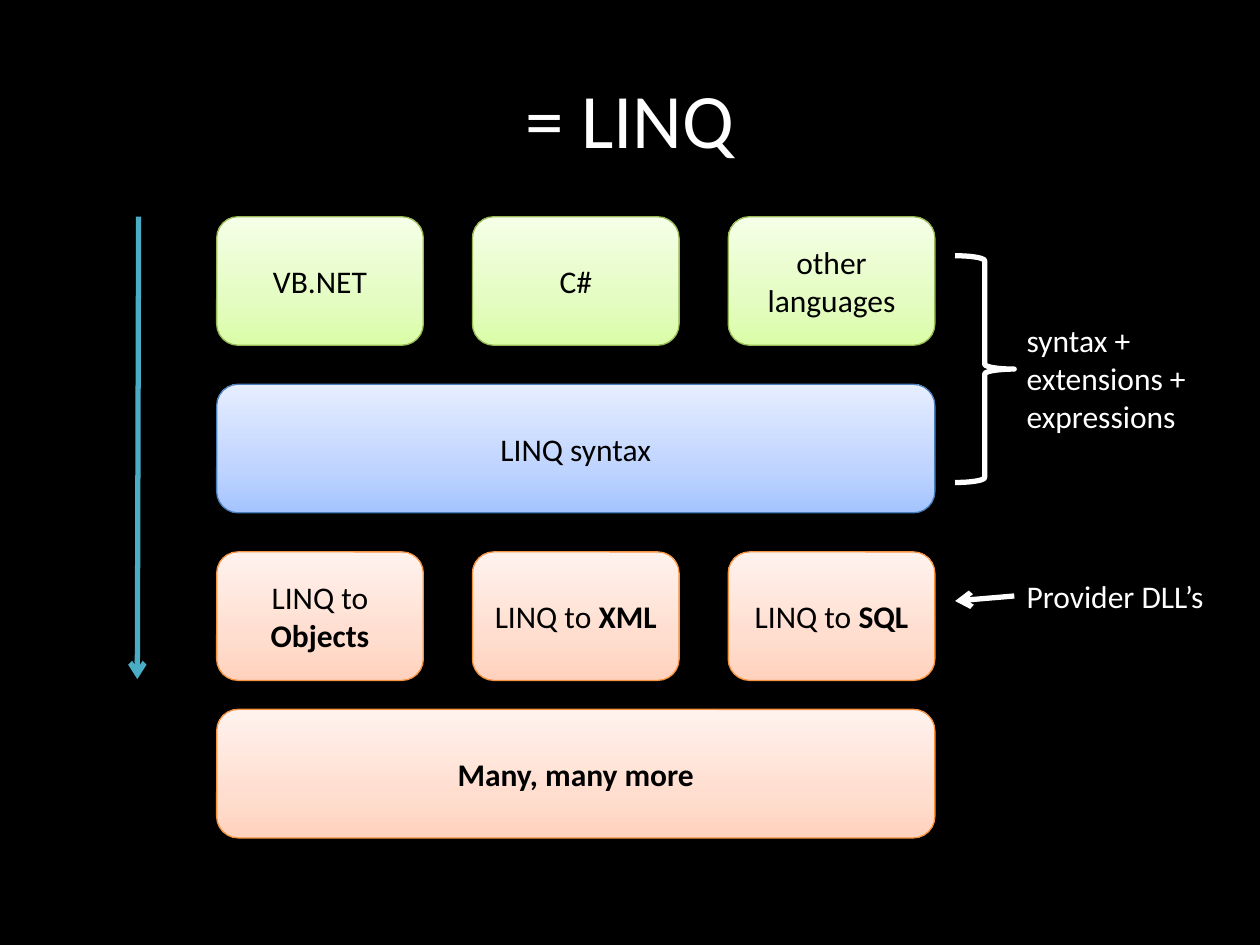
from copy import deepcopy

from lxml import etree
from pptx import Presentation
from pptx.dml.color import RGBColor
from pptx.enum import shapes, text
from pptx.oxml.ns import qn
from pptx.util import Inches, Pt

# Content: each row has a top, a style and boxes of (plain text, bold text)
ROWS = [
    (1.72, "green", [("VB.NET", ""), ("C#", ""), ("other languages", "")]),
    (3.05, "blue", [("LINQ syntax", "")]),
    (4.38, "orange", [("LINQ to ", "Objects"), ("LINQ to ", "XML"), ("LINQ to ", "SQL")]),
    (5.63, "orange", [("", "Many, many more")]),
]
STYLES = {  # line colour, gradient from bottom to top
    "green": ("98B955", ["DAFDA7", "E4FCC2", "F5FFE7"]),
    "blue": ("4B7EBC", ["A4C4FF", "BFD4FF", "E6EEFF"]),
    "orange": ("F69240", ["FFD2BD", "FFDED0", "FFF2ED"]),
}
STOPS = [0, 0.35, 1]
LABELS = [
    ((8.05, 2.5, 1.64, 1.01), "syntax + extensions + expressions"),
    ((8.05, 4.53, 1.64, 0.4), "Provider DLL’s"),
]
ARROWS = [
    ((1.1, 1.72, 1.09, 5.39), "4BACC6"),
    ((8.05, 4.73, 7.58, 4.77), "FFFFFF"),
]
LEFT, FULL_WIDTH, BOX_HEIGHT, GAP = 1.72, 5.7, 1.02, 0.39


def colour(value):
    return RGBColor.from_string(value)


def inches(values):
    return [Inches(value) for value in values]


def write(shape, runs, size, hex_colour, align, anchor):
    frame = shape.text_frame
    for name, value in {"word_wrap": True, "vertical_anchor": anchor}.items():
        setattr(frame, name, value)
    para = frame.paragraphs[0]
    para.alignment = align
    for words, bold in runs:
        if words:
            span = para.add_run()
            span.text = words
            font = {"name": "Calibri", "size": Pt(size), "bold": bold}
            for name, value in font.items():
                setattr(span.font, name, value)
            span.font.color.rgb = colour(hex_colour)


def set_line(shape, hex_colour, width):
    shape.line.color.rgb = colour(hex_colour)
    shape.line.width = Pt(width)


def set_gradient(shape, hex_colours):
    fill = shape.fill
    fill.gradient()
    fill.gradient_angle = 90
    stop_list = shape.element.spPr.find(qn("a:gradFill")).find(qn("a:gsLst"))
    stop_list.append(deepcopy(stop_list[-1]))
    for stop, position, value in zip(fill.gradient_stops, STOPS, hex_colours):
        stop.position = position
        stop.color.rgb = colour(value)


deck = Presentation()
deck.slide_width, deck.slide_height = Inches(10), Inches(7.5)
page = deck.slides.add_slide(deck.slide_layouts[5])
page.background.fill.solid()
page.background.fill.fore_color.rgb = colour("000000")
CENTER, MIDDLE = text.PP_ALIGN.CENTER, text.MSO_ANCHOR.MIDDLE

# Title
title = page.shapes.title
title.left, title.top, title.width, title.height = inches((0.5, 0.31, 9, 1.25))
write(title, [("= LINQ", False)], 44, "FFFFFF", CENTER, MIDDLE)

# Layers of boxes
for top, style, items in ROWS:
    width = (FULL_WIDTH - GAP * (len(items) - 1)) / len(items)
    for column, (plain, bold) in enumerate(items):
        left = LEFT + column * (width + GAP)
        box = page.shapes.add_shape(shapes.MSO_SHAPE.ROUNDED_RECTANGLE,
                                    *inches((left, top, width, BOX_HEIGHT)))
        box.shadow.inherit = False
        line_colour, gradient = STYLES[style]
        set_gradient(box, gradient)
        set_line(box, line_colour, 0.75)
        write(box, [(plain, False), (bold, True)], 18, "000000", CENTER, MIDDLE)

# Side labels
for place, words in LABELS:
    label = page.shapes.add_textbox(*inches(place))
    write(label, [(words, False)], 18, "FFFFFF", text.PP_ALIGN.LEFT, text.MSO_ANCHOR.TOP)

# Brace
brace = page.shapes.add_shape(shapes.MSO_SHAPE.RIGHT_BRACE, *inches((7.58, 2.03, 0.47, 1.8)))
brace.shadow.inherit = False
brace.fill.background()
set_line(brace, "FFFFFF", 3)

# Arrows
for ends, hex_colour in ARROWS:
    arrow = page.shapes.add_connector(shapes.MSO_CONNECTOR.STRAIGHT, *inches(ends))
    set_line(arrow, hex_colour, 3)
    properties = arrow.element.spPr
    etree.SubElement(properties.find(qn("a:ln")), qn("a:tailEnd"), type="arrow")
    etree.SubElement(properties, qn("a:effectLst"))

deck.save("out.pptx")
